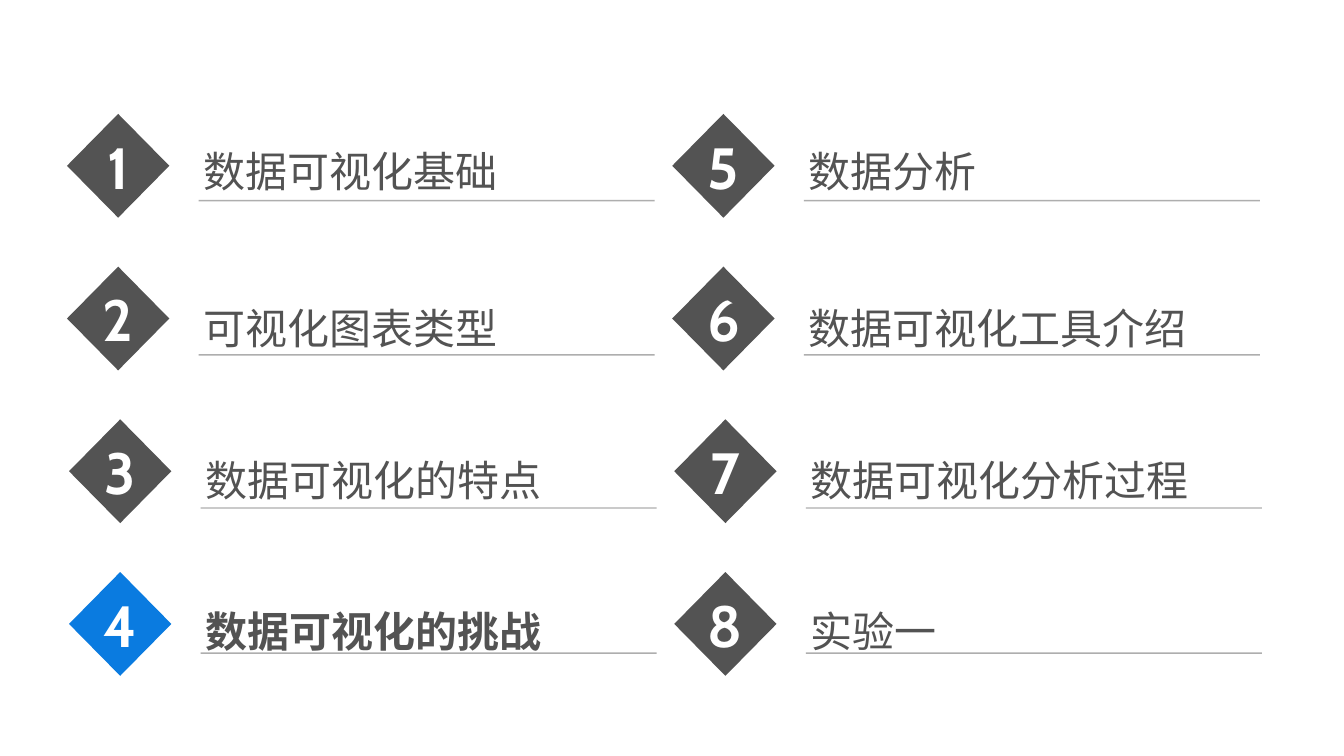
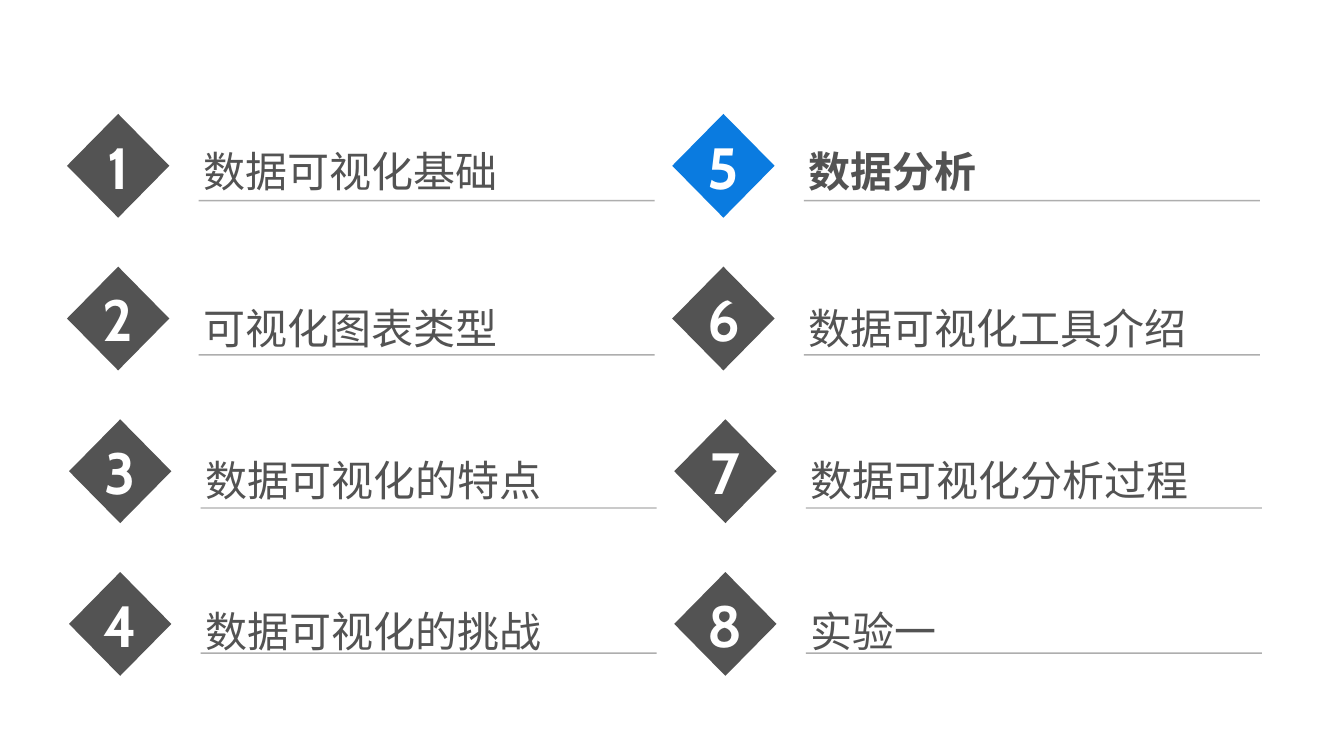
"""Build two agenda slides, each highlighting its current chapter."""
from dataclasses import dataclass

from lxml import etree
from pptx import Presentation
from pptx.dml.color import RGBColor
from pptx.enum.shapes import MSO_CONNECTOR, MSO_SHAPE
from pptx.enum.text import MSO_ANCHOR, MSO_AUTO_SIZE, PP_ALIGN
from pptx.oxml.ns import qn
from pptx.util import Inches, Pt

DIAMOND = MSO_SHAPE.DIAMOND
STRAIGHT = MSO_CONNECTOR.STRAIGHT
TOP, MIDDLE = MSO_ANCHOR.TOP, MSO_ANCHOR.MIDDLE
LEFT, CENTER = PP_ALIGN.LEFT, PP_ALIGN.CENTER
GROW = MSO_AUTO_SIZE.SHAPE_TO_FIT_TEXT

COLORS = {
    "paper": "FFFFFF",
    "ink": "535353",
    "accent": "0A7BE0",
    "rule": "5E5E5E",
}
TITLE_FONT, NUMBER_FONT = "Roboto", "Cabin"
CHAPTERS = [
    "数据可视化基础", "可视化图表类型", "数据可视化的特点", "数据可视化的挑战",
    "数据分析", "数据可视化工具介绍", "数据可视化分析过程", "实验一",
]
CURRENT_CHAPTERS = [4, 5]

COLUMN_PITCH = 12.01
DIAMOND_LEFT, DIAMOND_TOP, DIAMOND_PITCH = 1.33, 2.26, 3.03
DIAMOND_WIDTH, DIAMOND_HEIGHT = 2.03, 2.06
TITLE_LEFT, TITLE_WIDTH, TITLE_HEIGHT = 3.94, 9.26, 1.21
RULE_LENGTH = 9.05
INSET = 0.1


@dataclass(frozen=True)
class Row:
    """Heights of a row's title and rule, and its sideways shift."""
    title_top: float
    rule_top: float
    shift: float


ROWS = [
    Row(2.79, 3.98, 0),
    Row(5.9, 7.04, 0),
    Row(8.91, 10.08, 0.04),
    Row(11.91, 12.96, 0.04),
]


def color(name: str) -> RGBColor:
    """Return a palette colour."""
    return RGBColor.from_string(COLORS[name])


def write(box, text: str, *, font: str, size: float, ink: str, bold: bool = False,
          align=LEFT, anchor=TOP) -> None:
    """Put one formatted line of text in a shape."""
    frame = box.text_frame
    frame.word_wrap = True
    frame.vertical_anchor = anchor
    frame.margin_left = frame.margin_right = Inches(INSET)
    frame.margin_top = frame.margin_bottom = Inches(INSET)
    para = frame.paragraphs[0]
    para.alignment = align
    span = para.add_run()
    span.text = text
    span.font.name = font
    span.font.size = Pt(size)
    span.font.bold = bold
    span.font.color.rgb = color(ink)


def add_title(page, left: float, top: float, text: str, current: bool) -> None:
    """Add a chapter title, bold when current."""
    box = page.shapes.add_textbox(Inches(left), Inches(top),
                                  Inches(TITLE_WIDTH), Inches(TITLE_HEIGHT))
    write(box, text, font=TITLE_FONT, size=60, ink="ink", bold=current)
    box.text_frame.auto_size = GROW


def add_number(page, left: float, top: float, number: int, current: bool) -> None:
    """Add a numbered diamond, accented when current."""
    diamond = page.shapes.add_shape(DIAMOND, Inches(left), Inches(top),
                                    Inches(DIAMOND_WIDTH), Inches(DIAMOND_HEIGHT))
    diamond.shadow.inherit = False
    diamond.fill.solid()
    diamond.fill.fore_color.rgb = color("accent" if current else "ink")
    diamond.line.fill.background()
    write(diamond, str(number), font=NUMBER_FONT, size=83, ink="paper", bold=True,
          align=CENTER, anchor=MIDDLE)


def add_rule(page, left: float, top: float) -> None:
    """Add a half-transparent line under a title."""
    rule = page.shapes.add_connector(STRAIGHT, Inches(left), Inches(top),
                                     Inches(left + RULE_LENGTH), Inches(top))
    rule.line.width = Pt(2)
    rule.line.color.rgb = color("rule")
    properties = rule._element.spPr
    shade = properties.find(".//" + qn("a:srgbClr"))
    etree.SubElement(shade, qn("a:alpha"), val="50000")
    etree.SubElement(properties, qn("a:effectLst"))


def add_agenda(deck, current_chapter: int) -> None:
    """Add an agenda slide with one chapter highlighted."""
    page = deck.slides.add_slide(deck.slide_layouts[6])
    page.background.fill.solid()
    page.background.fill.fore_color.rgb = color("paper")
    for index, chapter in enumerate(CHAPTERS):
        column, row_index = divmod(index, len(ROWS))
        row = ROWS[row_index]
        offset = column * COLUMN_PITCH + row.shift
        number = index + 1
        current = number == current_chapter
        add_title(page, TITLE_LEFT + offset, row.title_top, chapter, current)
        add_number(page, DIAMOND_LEFT + offset,
                   DIAMOND_TOP + row_index * DIAMOND_PITCH, number, current)
        add_rule(page, TITLE_LEFT + offset, row.rule_top)


def main() -> None:
    """Build and save the deck."""
    deck = Presentation()
    deck.slide_width, deck.slide_height = Inches(26.67), Inches(15)
    for current_chapter in CURRENT_CHAPTERS:
        add_agenda(deck, current_chapter)
    deck.save("out.pptx")


if __name__ == "__main__":
    main()
